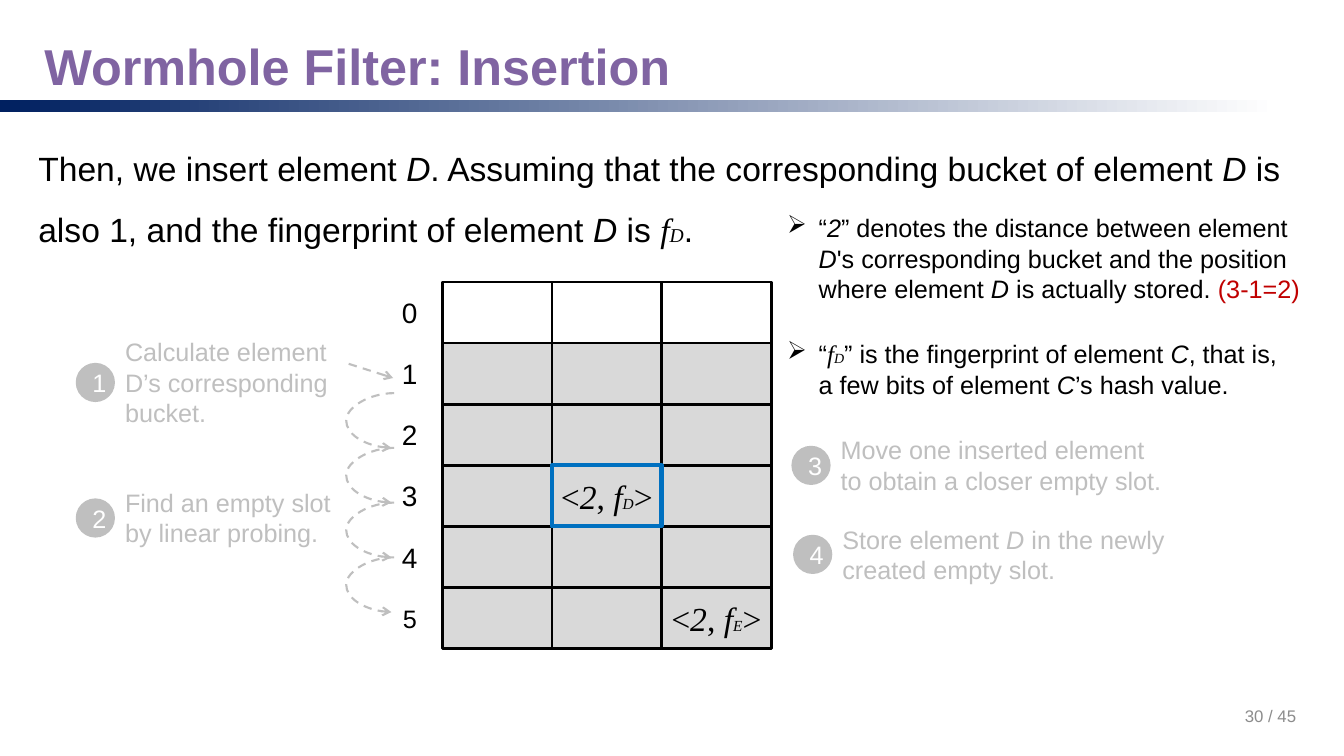
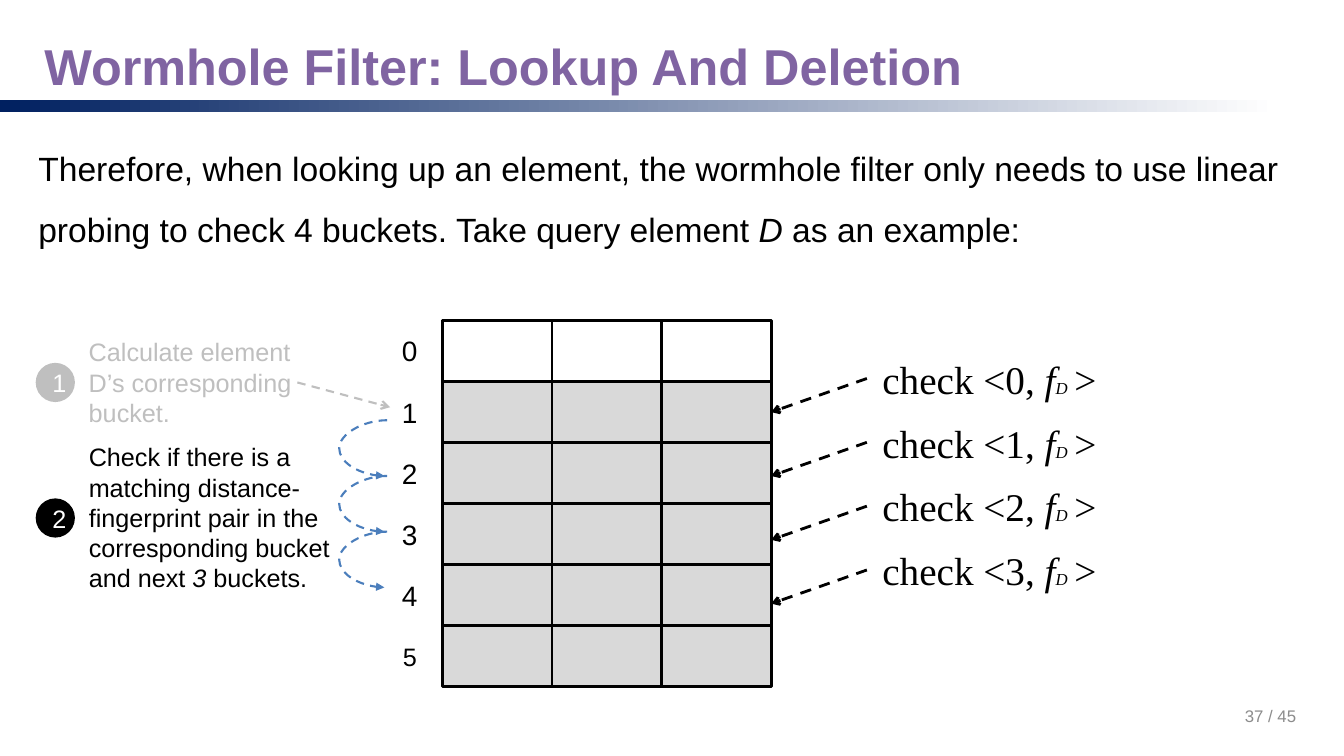
from itertools import product
from lxml.etree import SubElement
from pptx import Presentation
from pptx.dml.color import RGBColor
from pptx.enum.dml import MSO_LINE
from pptx.enum.shapes import MSO_CONNECTOR, MSO_SHAPE
from pptx.enum.text import MSO_ANCHOR, PP_ALIGN
from pptx.oxml.ns import qn
from pptx.util import Pt

BLACK = RGBColor(0x00, 0x00, 0x00)
WHITE = RGBColor(0xFF, 0xFF, 0xFF)
NAVY = RGBColor(0x00, 0x20, 0x60)
PURPLE = RGBColor(0x80, 0x64, 0xA2)
MUTED = RGBColor(0xBF, 0xBF, 0xBF)
CELL_GRAY = RGBColor(0xD9, 0xD9, 0xD9)
PAGE_GRAY = RGBColor(0x8C, 0x8C, 0x8C)
HIGHLIGHT = RGBColor(0x00, 0x70, 0xC0)
PROBE_BLUE = RGBColor(0x4B, 0x7E, 0xBC)
RED = RGBColor(0xC0, 0x00, 0x00)

SANS = "Arial"
SERIF = "Times New Roman"
ITALIC = {"italic": True}
MATH = {"italic": True, "name": SERIF}

GRID_LEFT, CELL_WIDTH, CELL_HEIGHT = 316, 78.3, 43.65
ROWS, COLUMNS = 6, 3
GRID_RIGHT = GRID_LEFT + COLUMNS * CELL_WIDTH
CIRCLE = 26
LINE_HEIGHT = 21.8


def write_text(shape, paragraphs, size, color=BLACK, name=SANS, bold=False, align=PP_ALIGN.LEFT,
               anchor=MSO_ANCHOR.TOP, inset=(0, 0), spacing=None, bullet=None):
    frame = shape.text_frame
    frame.word_wrap = True
    frame.vertical_anchor = anchor
    frame.margin_left = frame.margin_right = Pt(inset[0])
    frame.margin_top = frame.margin_bottom = Pt(inset[1])
    for index, runs in enumerate(paragraphs):
        paragraph = frame.add_paragraph() if index else frame.paragraphs[0]
        paragraph.alignment = align
        if spacing:
            paragraph.line_spacing = spacing
        if bullet:
            properties = paragraph._p.get_or_add_pPr()
            properties.set("marL", str(Pt(22.5)))
            properties.set("indent", str(-Pt(22.5)))
            SubElement(properties, qn("a:buChar")).set("char", bullet)
        paragraph.font.size = Pt(size)
        paragraph.font.name = name
        paragraph.font.bold = bold
        paragraph.font.color.rgb = color
        for part in runs:
            text, style = (part, {}) if isinstance(part, str) else part
            run = paragraph.add_run()
            run.text = text
            for key, value in style.items():
                if key == "color":
                    run.font.color.rgb = value
                else:
                    setattr(run.font, key, value)


def add_arrow(slide, kind, begin, end, color, width=1.5, head="arrow"):
    connector = slide.shapes.add_connector(kind, *map(Pt, begin + end))
    connector.line.color.rgb = color
    connector.line.width = Pt(width)
    connector.line.dash_style = MSO_LINE.DASH
    properties = connector._element.spPr
    SubElement(properties.find(qn("a:ln")), qn("a:tailEnd")).set("type", head)
    SubElement(properties, qn("a:effectLst"))
    return connector


def_pair = {
    letter: ["<", ("2", ITALIC), ", ", ("f", ITALIC), (letter, {"italic": True, "size": Pt(11)}), ">"]
    for letter in "DE"
}

slide_specs = [
    {
        "title": "Wormhole Filter: Insertion",
        "page": "30 / 45",
        "body": [
            "Then, we insert element ", ("D", ITALIC),
            ". Assuming that the corresponding bucket of element ", ("D", ITALIC),
            " is also 1, and the fingerprint of element ", ("D", ITALIC), " is ",
            ("f", MATH), ("D", {**MATH, "size": Pt(14)}), ".",
        ],
        "grid_top": 201.4,
        "entries": {(3, 1): def_pair["D"], (5, 2): def_pair["E"]},
        "highlighted": (3, 1),
        "steps": [
            ("1", 89.3, 273.2, 173, 3, MUTED, [["Calculate element D’s corresponding bucket."]]),
            ("2", 89.3, 370, 173, 2, MUTED, [["Find an empty slot"], ["by linear probing."]]),
            ("3", 600.5, 332.4, 230.4, 2, MUTED,
             [["Move one inserted element to obtain a closer empty slot."]]),
            ("4", 601.7, 396, 230.4, 2, MUTED,
             [["Store element ", ("D", ITALIC), " in the newly created empty slot."]]),
        ],
        "circle_offset": 34.2,
        "probes": (4, 281.5, 280.8, 39.1, MUTED, "arrow"),
    },
    {
        "title": "Wormhole Filter: Lookup And Deletion",
        "page": "37 / 45",
        "body": [
            "Therefore, when looking up an element, the wormhole filter only needs to use linear "
            "probing to check 4 buckets. Take query element ", ("D", ITALIC), " as an example:",
        ],
        "grid_top": 228.8,
        "entries": {},
        "highlighted": None,
        "steps": [
            ("1", 63.4, 273.2, 149, 3, MUTED, [["Calculate element D’s corresponding bucket."]]),
            ("2", 63.4, 370, 183.6, 5, BLACK,
             [["Check if there is a matching distance- fingerprint pair in the corresponding "
               "bucket and next ", ("3", ITALIC), " buckets."]]),
        ],
        "circle_offset": 36.9,
        "probes": (3, 276.5, 300.2, 39.8, PROBE_BLUE, "triangle"),
    },
]

presentation = Presentation()
presentation.slide_width = Pt(960)
presentation.slide_height = Pt(540)
slides = []
step_boxes = []

for spec in slide_specs:
    slide = presentation.slides.add_slide(presentation.slide_layouts[6])
    slides.append(slide)

    band = slide.shapes.add_shape(MSO_SHAPE.RECTANGLE, Pt(0), Pt(71.3), Pt(912.2), Pt(8.6))
    band.shadow.inherit = False
    band.line.fill.background()
    band.fill.gradient()
    band.fill.gradient_angle = 0
    for stop, color in zip(band.fill.gradient_stops, (NAVY, WHITE)):
        stop.color.rgb = color

    title = slide.shapes.add_textbox(Pt(27.4), Pt(25.9), Pt(905.8), Pt(46.8))
    write_text(title, [[spec["title"]]], 36, PURPLE, bold=True, anchor=MSO_ANCHOR.MIDDLE,
               inset=(4.3, 4.3), spacing=0.9)
    page = slide.shapes.add_textbox(Pt(717), Pt(496.8), Pt(216), Pt(28.8))
    write_text(page, [[spec["page"]]], 12, PAGE_GRAY, align=PP_ALIGN.RIGHT,
               anchor=MSO_ANCHOR.MIDDLE, inset=(7.2, 3.6))
    body = slide.shapes.add_textbox(Pt(27.4), Pt(91.4), Pt(888.5), Pt(82))
    write_text(body, [spec["body"]], 24, spacing=1.5)

    positions = sorted(product(range(ROWS), range(COLUMNS)), key=lambda p: p == spec["highlighted"])
    for row, column in positions:
        cell = slide.shapes.add_shape(
            MSO_SHAPE.RECTANGLE, Pt(GRID_LEFT + column * CELL_WIDTH),
            Pt(spec["grid_top"] + row * CELL_HEIGHT), Pt(CELL_WIDTH), Pt(CELL_HEIGHT))
        cell.shadow.inherit = False
        if row:
            cell.fill.solid()
            cell.fill.fore_color.rgb = CELL_GRAY
        else:
            cell.fill.background()
        highlighted = (row, column) == spec["highlighted"]
        cell.line.color.rgb = HIGHLIGHT if highlighted else BLACK
        cell.line.width = Pt(3 if highlighted else 2)
        if (row, column) in spec["entries"]:
            write_text(cell, [spec["entries"][row, column]], 24, name=SERIF,
                       align=PP_ALIGN.CENTER, anchor=MSO_ANCHOR.MIDDLE)

    for row in range(ROWS):
        label = slide.shapes.add_textbox(
            Pt(279.4), Pt(spec["grid_top"] + row * CELL_HEIGHT + 5.2), Pt(26.6), Pt(33.1))
        write_text(label, [[str(row)]], 18 if row == ROWS - 1 else 20,
                   align=PP_ALIGN.CENTER, anchor=MSO_ANCHOR.MIDDLE)

    for number, left, middle, width, lines, color, paragraphs in spec["steps"]:
        height = lines * LINE_HEIGHT
        step = slide.shapes.add_textbox(Pt(left), Pt(middle - height / 2), Pt(width), Pt(height))
        write_text(step, paragraphs, 18, color)
        step_boxes.append(step)
        circle = slide.shapes.add_shape(
            MSO_SHAPE.OVAL, Pt(left - spec["circle_offset"]), Pt(middle - CIRCLE / 2),
            Pt(CIRCLE), Pt(CIRCLE))
        circle.shadow.inherit = False
        circle.fill.solid()
        circle.fill.fore_color.rgb = color
        circle.line.color.rgb = color
        circle.line.width = Pt(2)
        write_text(circle, [[number]], 18, WHITE, align=PP_ALIGN.CENTER,
                   anchor=MSO_ANCHOR.MIDDLE, inset=(7.2, 3.6))

    count, right, top, pitch, color, head = spec["probes"]
    for index in range(count):
        start = top + index * pitch
        probe = add_arrow(slide, MSO_CONNECTOR.CURVE, (right, start), (right - 1.9, start + pitch),
                          color, head=head)
        adjustments = probe._element.spPr.find(qn("a:prstGeom")).get_or_add_avLst()
        guide = SubElement(adjustments, qn("a:gd"))
        guide.set("name", "adj1")
        guide.set("fmla", "val 1800000")

insertion, lookup = slides

add_arrow(insertion, MSO_CONNECTOR.STRAIGHT, (249.1, 259.9), (280.8, 270), MUTED)
notes = [
    (151.9, 367.2, 65.5, [
        "“", ("2", ITALIC), "” denotes the distance between element ", ("D", ITALIC),
        "'s corresponding bucket and the position where element ", ("D", ITALIC),
        " is actually stored. ", ("(3-1=2)", {"color": RED})]),
    (241.9, 356.4, 43.6, [
        "“", ("f", MATH), ("D", {**MATH, "size": Pt(10)}), "” is the fingerprint of element ",
        ("C", ITALIC), ", that is, a few bits of element ", ("C", ITALIC), "’s hash value."]),
]
for top, width, height, runs in notes:
    note = insertion.shapes.add_textbox(Pt(562.3), Pt(top), Pt(width), Pt(height))
    write_text(note, [runs], 18, bullet="➢")

bucket_arrow = add_arrow(lookup, MSO_CONNECTOR.STRAIGHT, (212.4, 273.2), (278.6, 290.9), MUTED)
bucket_arrow.begin_connect(step_boxes[len(slide_specs[0]["steps"])], 3)
for distance in range(4):
    top = 248.4 + distance * 45.6
    check = lookup.shapes.add_shape(MSO_SHAPE.RECTANGLE, Pt(619.2), Pt(top), Pt(176.4), Pt(43.9))
    check.shadow.inherit = False
    check.fill.solid()
    check.fill.fore_color.rgb = WHITE
    check.line.color.rgb = WHITE
    check.line.width = Pt(2)
    write_text(check, [[f"check <{distance}, ", ("f", ITALIC),
                        ("D ", {"italic": True, "size": Pt(12)}), (">", ITALIC)]],
               28, name=SERIF, align=PP_ALIGN.CENTER, anchor=MSO_ANCHOR.MIDDLE)
    check_arrow = add_arrow(lookup, MSO_CONNECTOR.STRAIGHT, (619.2, top + 22),
                            (GRID_RIGHT, top + 46), BLACK, 2)
    check_arrow.begin_connect(check, 1)

presentation.save("out.pptx")
